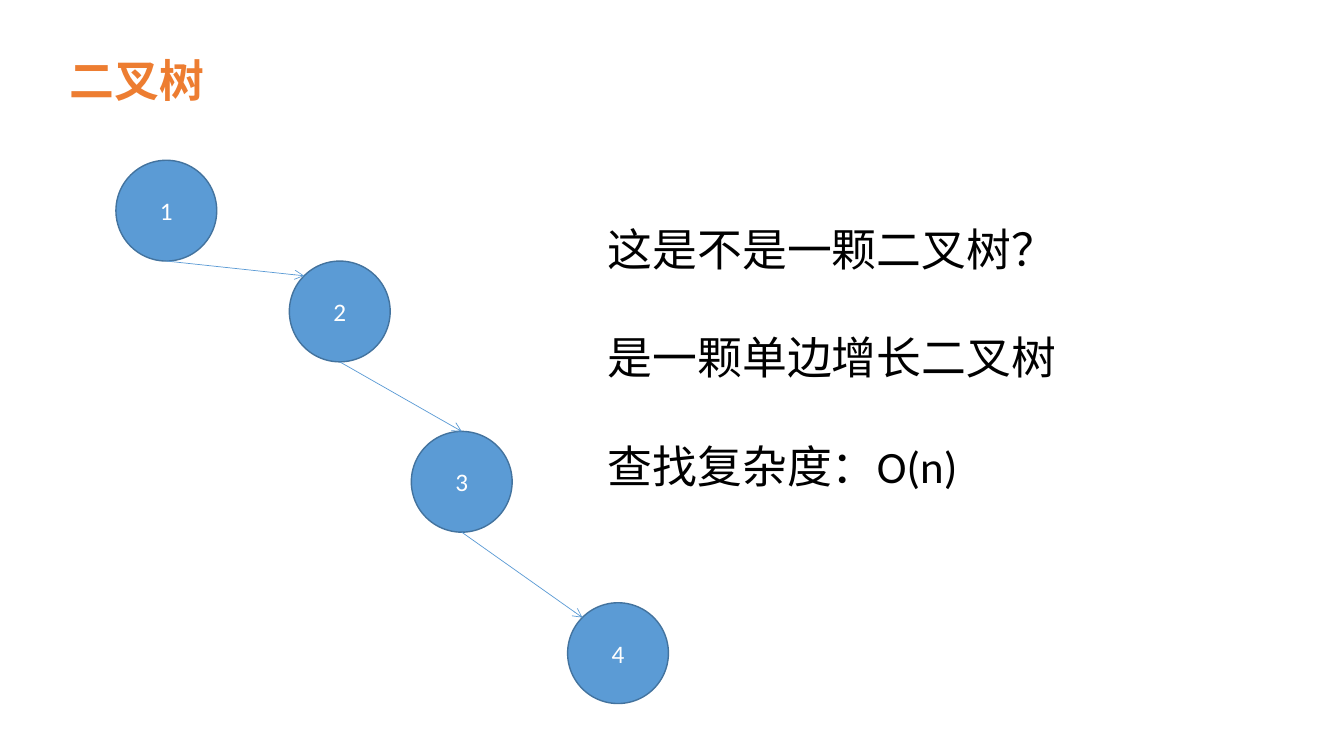
import math

import pptx
import pptx.dml.color
import pptx.enum.shapes
import pptx.enum.text
import pptx.oxml
import pptx.oxml.ns
import pptx.util

Inches, Pt = pptx.util.Inches, pptx.util.Pt
ALIGN = pptx.enum.text.PP_ALIGN
ANCHOR = pptx.enum.text.MSO_ANCHOR

COLORS = {"title": "ED7D31", "body": "000000", "node": "5B9BD5",
          "outline": "43739E", "label": "FFFFFF"}
FONT = "Calibri"
TITLE = "二叉树"
TITLE_BOX = (0.59, 0.47, 6.19, 0.64)
REMARKS = ["这是不是一颗二叉树？", "是一颗单边增长二叉树", "查找复杂度：O(n)"]
REMARKS_BOX = (5.93, 2.15, 6.63, 2.79)
REMARK_GAP = 39
DIAMETER = 1
NODES = {"1": (1.15, 1.59), "2": (2.87, 2.59), "3": (4.08, 4.28), "4": (5.63, 5.98)}
EDGES = [("1", "2", "top left"), ("2", "3", "top"), ("3", "4", "top left")]
ENTRY_ANGLES = {"top": 90, "top left": 135}


def rgb(part):
    return pptx.dml.color.RGBColor.from_string(COLORS[part])


def write(frame, lines, part, size, bold=False, align=ALIGN.LEFT, gap=0):
    frame.word_wrap = True
    for index, line in enumerate(lines):
        paragraph = frame.add_paragraph() if index else frame.paragraphs[0]
        paragraph.alignment = align
        paragraph.space_before = Pt(gap if index else 0)
        run = paragraph.add_run()
        run.text = line
        run.font.color.rgb = rgb(part)
        for key, value in {"name": FONT, "size": Pt(size), "bold": bold}.items():
            setattr(run.font, key, value)


def add_text(slide, box, lines, part, **formats):
    frame = slide.shapes.add_textbox(*map(Inches, box)).text_frame
    write(frame, lines, part, 32, **formats)


def add_node(slide, label, corner):
    node = slide.shapes.add_shape(pptx.enum.shapes.MSO_SHAPE.OVAL,
                                  *map(Inches, (*corner, DIAMETER, DIAMETER)))
    node.shadow.inherit = False
    node.fill.solid()
    node.fill.fore_color.rgb = rgb("node")
    node.line.color.rgb = rgb("outline")
    node.line.width = Pt(1)
    node.text_frame.vertical_anchor = ANCHOR.MIDDLE
    write(node.text_frame, [label], "label", 18, align=ALIGN.CENTER)


def rim_point(label, degrees):
    radius, angle = DIAMETER / 2, math.radians(degrees)
    left, top = NODES[label]
    return (left + radius + radius * math.cos(angle),
            top + radius - radius * math.sin(angle))


def add_edge(slide, parent, child, entry):
    ends = (*rim_point(parent, 270), *rim_point(child, ENTRY_ANGLES[entry]))
    edge = slide.shapes.add_connector(pptx.enum.shapes.MSO_CONNECTOR.STRAIGHT,
                                      *map(Inches, ends))
    edge.line.color.rgb = rgb("node")
    edge.line.width = Pt(0.5)
    arrow = pptx.oxml.parse_xml(
        f'<a:tailEnd {pptx.oxml.ns.nsdecls("a")} type="arrow"/>')
    edge.line._get_or_add_ln().append(arrow)
    edge._element.spPr.append(
        pptx.oxml.parse_xml(f'<a:effectLst {pptx.oxml.ns.nsdecls("a")}/>'))


def main():
    """Build the slide on a one-sided binary tree."""
    deck = pptx.Presentation()
    deck.slide_width, deck.slide_height = Inches(13.33), Inches(7.5)
    slide = deck.slides.add_slide(deck.slide_layouts[6])
    add_text(slide, TITLE_BOX, [TITLE], "title", bold=True)
    add_text(slide, REMARKS_BOX, REMARKS, "body", gap=REMARK_GAP)
    for label, corner in NODES.items():
        add_node(slide, label, corner)
    for edge in EDGES:
        add_edge(slide, *edge)
    deck.save("out.pptx")


if __name__ == "__main__":
    main()
